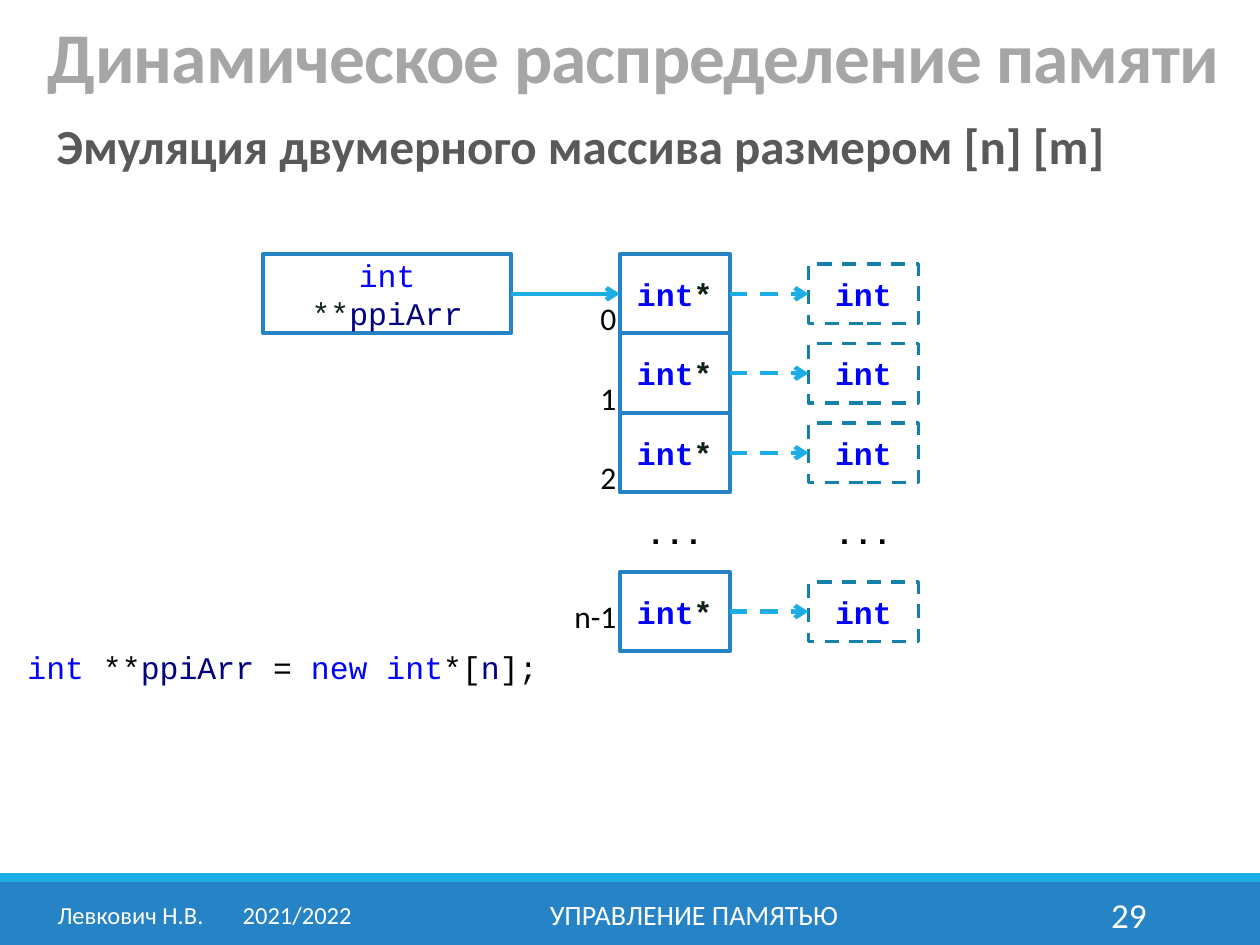
"""Build a slide on emulating a two-dimensional array with dynamic memory."""
from lxml import etree
from pptx import Presentation
from pptx.dml.color import RGBColor
from pptx.enum.dml import MSO_LINE
from pptx.enum.shapes import MSO_CONNECTOR, MSO_SHAPE
from pptx.enum.text import MSO_ANCHOR, MSO_AUTO_SIZE, PP_ALIGN
from pptx.oxml.ns import qn
from pptx.util import Pt

LEFT, CENTER, RIGHT = PP_ALIGN.LEFT, PP_ALIGN.CENTER, PP_ALIGN.RIGHT
TOP, MIDDLE, BOTTOM = MSO_ANCHOR.TOP, MSO_ANCHOR.MIDDLE, MSO_ANCHOR.BOTTOM
RECTANGLE, STRAIGHT, DASH = MSO_SHAPE.RECTANGLE, MSO_CONNECTOR.STRAIGHT, MSO_LINE.DASH
NO_FIT = MSO_AUTO_SIZE.NONE
SANS, MONO = "Calibri", "Courier New"

COLORS = {
    "band": "2683C6", "accent": "1CADE4", "dashed": "1580A9", "white": "FFFFFF",
    "title": "A6A6A6", "heading": "595959", "keyword": "0000FF",
    "star": "102215", "name": "000080", "black": "000000",
}

TITLE = "Динамическое распределение памяти"
HEADING = "Эмуляция двумерного массива размером [n] [m]"
POINTER = [("int", "keyword"), (" **", "star"), ("ppiArr", "name")]
ROW_POINTER = [("int", "keyword"), ("*", "star")]
ELEMENT = [("int", "keyword")]
GAP = [("...", "black")]
CODE = [
    ("int", "keyword"), (" **", "black"), ("ppiArr", "name"), (" = ", "black"),
    ("new", "keyword"), (" ", "black"), ("int", "keyword"), ("*[", "black"),
    ("n", "name"), ("];", "black"),
]
ROWS = ["0", "1", "2", None, "n-1"]
BANDS = [((0, 504, 720, 36), "band"), ((0, 499, 720, 5), "accent")]
FOOTERS = [
    ("Левкович Н.В.\t2021/2022", 23, 188, 14, CENTER),
    ("УПРАВЛЕНИЕ ПАМЯТЬЮ", 217.5, 358, 16, CENTER),
    ("29", 584.6, 77.8, 20, RIGHT),
]
FOOTER_TOP, FOOTER_HEIGHT, FOOTER_TAB = 508.3, 28.8, 105.8
ROW_TOP, ROW_HEIGHT, CELL_WIDTH = 145.2, 45.4, 62.8
POINTER_LEFT, POINTER_WIDTH = 150.2, 142
CELL_LEFT, ELEMENT_LEFT, ELEMENT_HEIGHT = 354.2, 462, 34
INDEX_HEIGHT = 17.3


def color(name):
    return RGBColor.from_string(COLORS[name])


def place(shape, left, top, width, height):
    shape.left, shape.top = Pt(left), Pt(top)
    shape.width, shape.height = Pt(width), Pt(height)


def write(shape, parts, size, font=SANS, align=CENTER, anchor=MIDDLE, bold=False):
    frame = shape.text_frame
    frame.word_wrap, frame.auto_size = True, NO_FIT
    frame.vertical_anchor = anchor
    para = frame.paragraphs[0]
    para.alignment, para.space_before = align, Pt(0)
    para.font.name, para.font.size, para.font.bold = font, Pt(size), bold
    for text, tint in parts:
        span = para.add_run()
        span.text = text
        span.font.color.rgb = color(tint)
    return para


def add_text(slide, area, parts, size, **style):
    box = slide.shapes.add_textbox(*map(Pt, area))
    return box, write(box, parts, size, **style)


def add_cell(slide, area, parts, tint="band", width=2.25, dash=None, bold=True):
    cell = slide.shapes.add_shape(RECTANGLE, *map(Pt, area))
    cell.shadow.inherit = False
    cell.fill.background()
    cell.line.color.rgb, cell.line.width = color(tint), Pt(width)
    if dash:
        cell.line.dash_style = dash
    write(cell, parts, 18, font=MONO, bold=bold)
    return cell


def add_arrow(slide, source, target, dash=None):
    arrow = slide.shapes.add_connector(STRAIGHT, 0, 0, 0, 0)
    arrow.begin_connect(source, 3)
    arrow.end_connect(target, 1)
    arrow.line.color.rgb, arrow.line.width = color("accent"), Pt(2.5)
    if dash:
        arrow.line.dash_style = dash
    properties = arrow.line._get_or_add_ln()
    etree.SubElement(properties, qn("a:tailEnd"), type="arrow")
    etree.SubElement(properties.getparent(), qn("a:effectLst"))


def add_bands(slide):
    for area, tint in BANDS:
        band = slide.shapes.add_shape(RECTANGLE, *map(Pt, area))
        band.shadow.inherit = False
        band.fill.solid()
        band.fill.fore_color.rgb = color(tint)
        band.line.fill.background()


def add_headings(slide):
    title, body = slide.placeholders
    place(title, 20.2, 9.4, 692, 49)
    para = write(title, [(TITLE, "title")], 40.8, align=LEFT, anchor=BOTTOM, bold=True)
    para.line_spacing = 0.75
    para.runs[0]._r.get_or_add_rPr().set("spc", "-50")

    place(body, 25.2, 66.2, 674.6, 38.2)
    properties = body.text_frame.paragraphs[0]._p.get_or_add_pPr()
    properties.set("marL", "0")
    properties.set("indent", "0")
    etree.SubElement(properties, qn("a:buNone"))
    para = write(body, [(HEADING, "heading")], 28, align=LEFT, anchor=TOP, bold=True)
    para.line_spacing = 0.9


def add_index(slide, label, row_top):
    if len(label) == 1:
        area = (337.7, row_top + ROW_HEIGHT - INDEX_HEIGHT, 20, INDEX_HEIGHT)
    else:
        area = (320.4, row_top + 16.6, 39.6, INDEX_HEIGHT)
    box, _ = add_text(slide, area, [(label, "black")], 18)
    frame = box.text_frame
    frame.margin_left = frame.margin_right = 0


def add_diagram(slide):
    pointer = add_cell(
        slide, (POINTER_LEFT, ROW_TOP, POINTER_WIDTH, ROW_HEIGHT), POINTER, bold=False)
    for number, label in enumerate(ROWS):
        top = ROW_TOP + number * ROW_HEIGHT
        cell_area = (CELL_LEFT, top, CELL_WIDTH, ROW_HEIGHT)
        if label is None:
            for left in (CELL_LEFT, ELEMENT_LEFT):
                add_text(slide, (left, *cell_area[1:]), GAP, 18, font=MONO, bold=True)
            continue
        cell = add_cell(slide, cell_area, ROW_POINTER)
        element_top = top + (ROW_HEIGHT - ELEMENT_HEIGHT) / 2
        element = add_cell(
            slide, (ELEMENT_LEFT, element_top, CELL_WIDTH, ELEMENT_HEIGHT),
            ELEMENT, "dashed", 2, DASH)
        if number == 0:
            add_arrow(slide, pointer, cell)
        add_arrow(slide, cell, element, DASH)
        add_index(slide, label, top)


def add_footers(slide):
    for text, left, width, size, align in FOOTERS:
        area = (left, FOOTER_TOP, width, FOOTER_HEIGHT)
        box = slide.shapes.add_textbox(*map(Pt, area))
        if "\t" in text:
            properties = box.text_frame.paragraphs[0]._p.get_or_add_pPr()
            tabs = etree.SubElement(properties, qn("a:tabLst"))
            etree.SubElement(tabs, qn("a:tab"), pos=str(Pt(FOOTER_TAB)), algn="l")
        write(box, [(text, "white")], size, align=align)


def main():
    deck = Presentation()
    deck.slide_width, deck.slide_height = Pt(720), Pt(540)
    slide = deck.slides.add_slide(deck.slide_layouts[1])
    add_bands(slide)
    add_headings(slide)
    add_diagram(slide)
    add_text(slide, (8.6, 366.5, 360, 28.8), CODE, 18, font=MONO, align=LEFT, anchor=TOP)
    add_footers(slide)
    deck.save("out.pptx")


if __name__ == "__main__":
    main()
